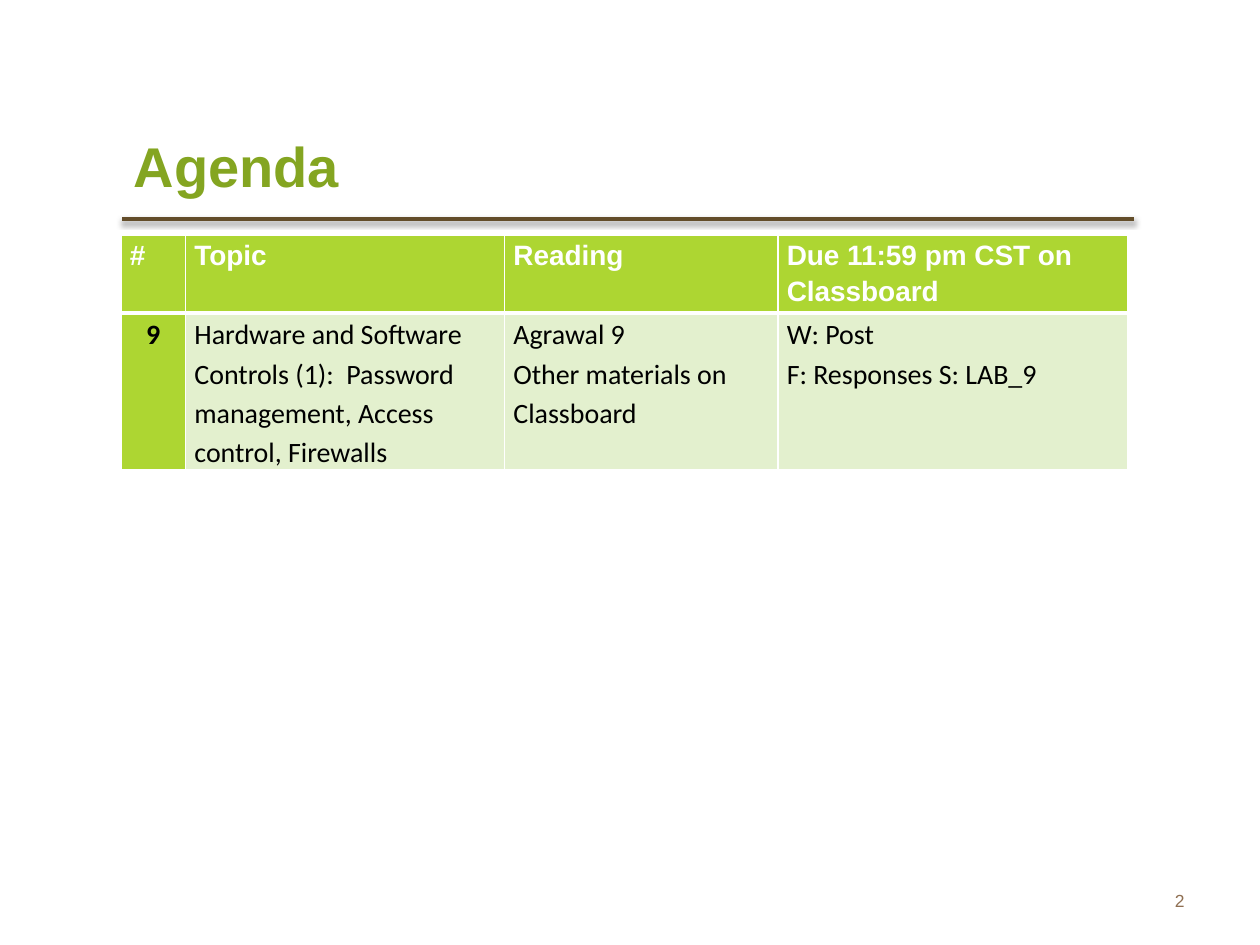
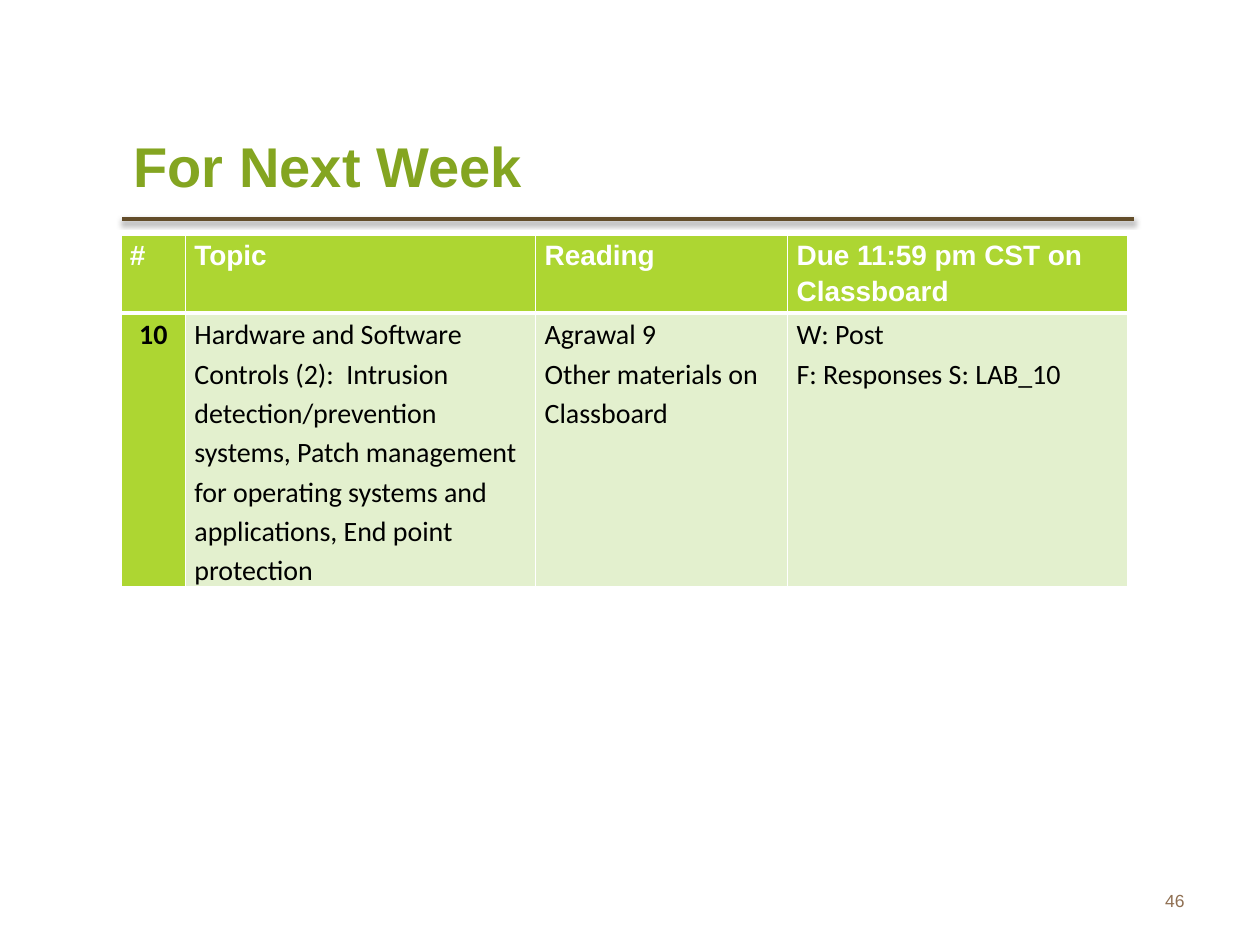
from lxml import etree
from pptx import Presentation
from pptx.dml.color import RGBColor as Rgb
from pptx.enum.shapes import MSO_CONNECTOR as Link
from pptx.enum.text import MSO_ANCHOR as Anchor, MSO_AUTO_SIZE as Fit, PP_ALIGN as Align
from pptx.oxml import parse_xml
from pptx.oxml.ns import nsdecls, qn
from pptx.util import Cm, Pt

HUES = {
    "title": "84A521", "rule": "634D2A", "page": "8F6F52", "head": "ADD632",
    "body": "E3F0CE", "white": "FFFFFF", "black": "000000",
}
FONTS = {
    "title": {"name": "Arial", "size": Pt(32), "bold": True},
    "page": {"name": "Arial", "size": Pt(10), "bold": False},
    "head": {"name": "Arial", "size": Pt(16), "bold": True},
    "key": {"name": "Calibri", "size": Pt(16), "bold": True},
    "body": {"name": "Calibri", "size": Pt(16), "bold": False},
}
PAD = {"margin_left": Cm(0.18), "margin_right": Cm(0.18),
       "margin_top": 0, "margin_bottom": 0}
LEFT, RIGHT = 2.44, 22.86
HEAD_H, LINE_H = 1.42, 0.79
HEADS = ["#", "Topic", "Reading", "Due 11:59 pm CST on Classboard"]
READING = "Agrawal 9\nOther materials on Classboard"

WEEKS = [
    {"title": "Agenda", "page": "2", "cols": [1.3, 6.43, 5.51, 7.06], "lines": 4,
     "row": ["9",
             "Hardware and Software Controls (1):  Password management, "
             "Access control, Firewalls",
             READING, "W: Post\nF: Responses S: LAB_9"]},
    {"title": "For Next Week", "page": "46", "cols": [1.3, 7.06, 5.08, 6.86], "lines": 7,
     "row": ["10",
             "Hardware and Software Controls (2):  Intrusion detection/prevention "
             "systems, Patch management for operating systems and applications, "
             "End point protection",
             READING, "W: Post\nF: Responses S: LAB_10"]},
]


def put(item, vals):
    """Set each attribute of item named in vals."""
    for name, val in vals.items():
        setattr(item, name, val)


def write(frame, text, font, hue, **form):
    """Fill a text frame, one paragraph to each line of text."""
    frame.text = text
    for para in frame.paragraphs:
        put(para, form)
        put(para.font, FONTS[font])
        para.font.color.rgb = Rgb.from_string(HUES[hue])


def add_title(slide, text):
    title = slide.shapes.title
    put(title, {"left": Cm(LEFT), "top": Cm(2.18), "width": Cm(14.66), "height": Cm(2.29)})
    put(title.text_frame, {"vertical_anchor": Anchor.MIDDLE, "auto_size": Fit.NONE})
    write(title.text_frame, text, "title", "title", alignment=Align.LEFT)


def add_rule(slide):
    """Draw the line under the title, with its soft shadow."""
    rule = slide.shapes.add_connector(
        Link.STRAIGHT, Cm(LEFT + 0.02), Cm(4.42), Cm(RIGHT), Cm(4.42))
    rule.line.width = Pt(2)
    rule.line.color.rgb = Rgb.from_string(HUES["rule"])
    rule._element.spPr.append(parse_xml(
        f'<a:effectLst {nsdecls("a")}>'
        f'<a:outerShdw blurRad="{Pt(3.1)}" dist="{Pt(1.6)}" dir="5400000" rotWithShape="0">'
        f'<a:srgbClr val="{HUES["black"]}"><a:alpha val="38000"/></a:srgbClr>'
        '</a:outerShdw></a:effectLst>'))


def add_page(slide, text):
    box = slide.shapes.add_textbox(Cm(18.21), Cm(17.65), Cm(5.92), Cm(1.02))
    put(box.text_frame, {"word_wrap": True, "vertical_anchor": Anchor.MIDDLE})
    write(box.text_frame, text, "page", "page", alignment=Align.RIGHT)


def edge(cell, sides):
    """Draw white borders; sides maps L, R, T and B to widths in points."""
    props = cell._tc.get_or_add_tcPr()
    for side, width in sides.items():
        line = etree.SubElement(props, qn(f"a:ln{side}"), w=str(Pt(width)))
        fill = etree.SubElement(line, qn("a:solidFill"))
        etree.SubElement(fill, qn("a:srgbClr"), val=HUES["white"])


def fill_cell(cell, text, font, hue, back, sides, align=Align.LEFT):
    edge(cell, sides)
    cell.fill.solid()
    cell.fill.fore_color.rgb = Rgb.from_string(HUES[back])
    put(cell, PAD)
    write(cell.text_frame, text, font, hue, alignment=align, line_spacing=1.15)


def add_plan(slide, cols, row, lines):
    """Add the table of one week's topic, reading and due dates."""
    highs = [HEAD_H, lines * LINE_H]
    table = slide.shapes.add_table(
        2, len(cols), Cm(LEFT), Cm(4.75), Cm(sum(cols)), Cm(sum(highs))).table
    put(table, {"first_row": False, "horz_banding": False})
    for band, high in zip(table.rows, highs):
        band.height = Cm(high)
    top = {"L": 1, "R": 1, "T": 1, "B": 3}
    low = {"L": 1, "R": 1, "T": 3, "B": 1}
    for i, (wide, head, text) in enumerate(zip(cols, HEADS, row)):
        table.columns[i].width = Cm(wide)
        fill_cell(table.cell(0, i), head, "head", "white", "head", top)
        if i == 0:
            fill_cell(table.cell(1, i), text, "key", "black", "head", low, Align.CENTER)
        else:
            fill_cell(table.cell(1, i), text, "body", "black", "body", low)


def main():
    deck = Presentation()
    put(deck, {"slide_width": Cm(25.4), "slide_height": Cm(19.05)})
    for week in WEEKS:
        slide = deck.slides.add_slide(deck.slide_layouts.get_by_name("Title Only"))
        add_rule(slide)
        add_page(slide, week["page"])
        add_title(slide, week["title"])
        add_plan(slide, week["cols"], week["row"], week["lines"])
    deck.save("out.pptx")


if __name__ == "__main__":
    main()
